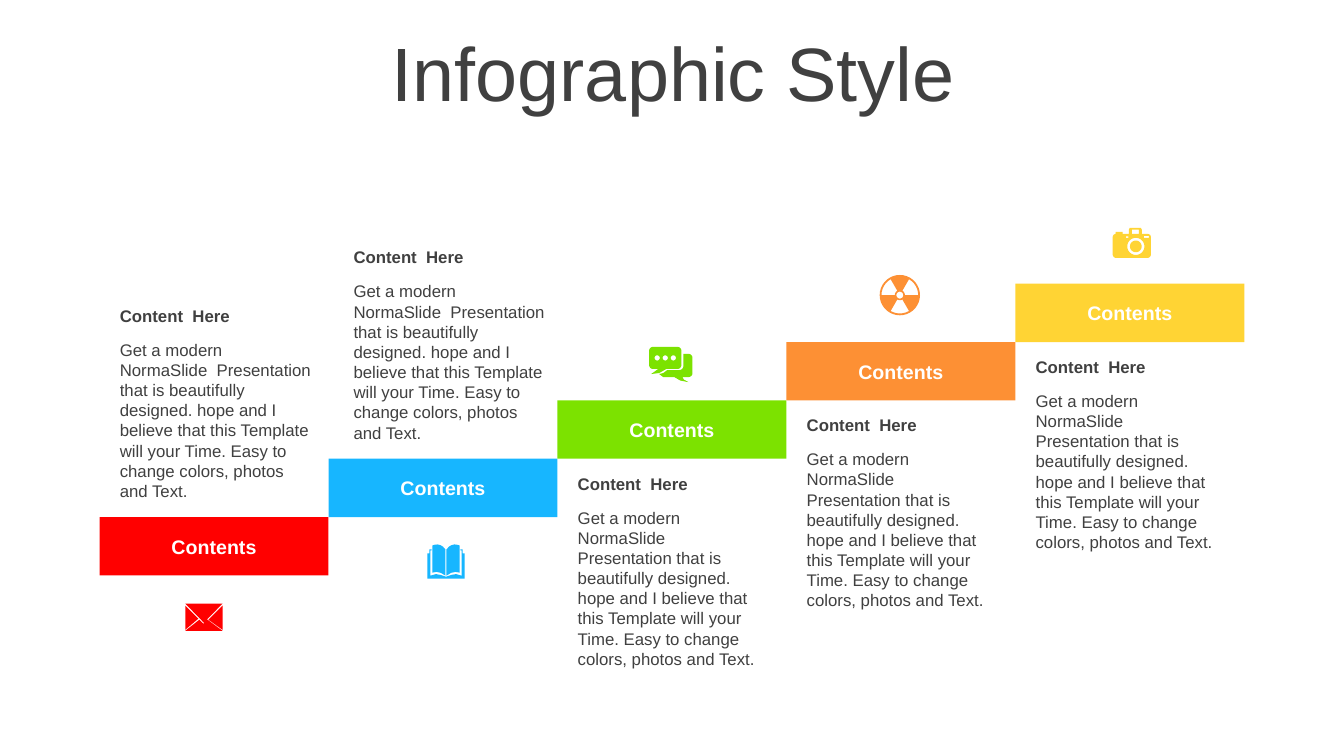
from math import cos, radians, sin

from pptx import Presentation
from pptx.dml.color import RGBColor
from pptx.enum.shapes import MSO_SHAPE as Shape
from pptx.enum.text import MSO_ANCHOR as Anchor, MSO_AUTO_SIZE as AutoSize, PP_ALIGN as Align
from pptx.util import Cm, Pt

TITLE = "Infographic Style"
BAR_LABEL = "Contents"
HEADING = "Content  Here"
BODY = ("Get a modern NormaSlide  Presentation that is beautifully designed. "
        "hope and I believe that this Template will your Time. "
        "Easy to change colors, photos and Text.")
DARK, WHITE = "404040", "FFFFFF"

# colour, text above the bar, text indent (cm), icon name, icon left and top (cm)
STEPS = [
    ("FF0000", True, 0.26, "envelope", 4.67, 15.21),
    ("17B6FF", True, 0.38, "book", 10.77, 13.72),
    ("7CE200", False, 0.26, "chat", 16.36, 8.74),
    ("FD9034", False, 0.26, "radiation", 22.17, 6.93),
    ("FFD434", False, 0.26, "camera", 28.04, 5.74),
]

BAR_LEFT, BAR_TOP, BAR_WIDTH, BAR_HEIGHT = 2.51, 13.03, 5.77, 1.47
HEADING_ABOVE, HEADING_BELOW, BODY_DROP = -5.46, 1.71, 0.86
ICON_UNIT = 0.0254  # cm per icon grid unit


def arc(x, y, radius, start=0, end=360):
    steps = max(6, abs(end - start) // 10)
    angles = [radians(start + (end - start) * i / steps) for i in range(steps + 1)]
    return [(x + radius * cos(a), y + radius * sin(a)) for a in angles]


def wedge(start):
    """Outline of one 60 degree blade of the radiation sign."""
    return arc(20, 20, 18.2, start, start + 60) + arc(20, 20, 5, start + 60, start)


def rectangle(left, top, right, bottom):
    return [(left, top), (right, top), (right, bottom), (left, bottom)]


def mirrored(points, width):
    return [(width - x, y) for x, y in points]


BOOK_PAGE = [(19, 5), (21.5, 2.2), (24, 0.7), (27, 0), (29.5, 0.3), (32, 1),
             (32, 28), (28, 27.2), (23.5, 28.2), (19, 31)]
BOOK_COVER = [(18.5, 32), (24, 30.2), (28.5, 29.4), (34, 31), (34, 6), (32.8, 6),
              (32.8, 5), (35, 5), (35, 9), (37, 9), (37, 34), (18.5, 34)]
FRONT_BUBBLE = (arc(28, 18, 4, 0, 90) + [(17, 22), (10, 26), (2, 27), (9, 22)]
                + arc(4, 18, 4, 90, 180) + arc(4, 4, 4, 180, 270)
                + arc(28, 4, 4, 270, 360))
BACK_BUBBLE = ([(34, 7)] + arc(39, 11, 4, 270, 360) + arc(39, 26, 4, 0, 90)
               + [(33, 30), (34.5, 32.5), (39, 35), (31, 33.5), (25, 30), (14, 30),
                  (10, 27), (14, 26), (18, 23)] + arc(30, 19, 4, 90, 0))
CAMERA_BODY = [(0, 9), (0.8, 7), (3, 6), (3, 4), (10, 4), (10, 6), (16, 6), (16, 2),
               (17, 0), (28, 0), (29, 2), (29, 6), (35, 6), (37.2, 7), (38, 9),
               (38, 27), (37, 29), (35, 30), (3, 30), (1, 29), (0, 27)]
ICONS = {
    "envelope": [
        [(22, 16), (37, 27), (0, 27), (14, 16), (18, 20)],
        [(37, 2), (37, 26), (23, 16)],
        [(0, 2), (13, 15), (0, 26)],
        [(0, 0), (37, 0), (18.5, 19)],
    ],
    "book": [BOOK_PAGE, BOOK_COVER, mirrored(BOOK_PAGE, 37), mirrored(BOOK_COVER, 37)],
    "chat": [FRONT_BUBBLE, BACK_BUBBLE] + [arc(x, 11, 2.6) for x in (8, 16, 24)],
    "radiation": [arc(20, 20, 20), arc(20, 20, 3.4)] + [wedge(a) for a in (60, 180, 300)],
    "camera": [CAMERA_BODY, arc(23, 18.5, 8.5), arc(23, 18.5, 5.8),
               rectangle(13, 8.5, 15.5, 10), rectangle(31, 8, 36, 10),
               rectangle(19, 2, 26, 6)],
}


def colour(value):
    return RGBColor.from_string(value)


def write(shape, text, anchor=Anchor.MIDDLE, align=Align.LEFT, ink=DARK, **formats):
    frame = shape.text_frame
    frame.word_wrap = True
    frame.vertical_anchor = anchor
    para = frame.paragraphs[0]
    para.alignment = align
    span = para.add_run()
    span.text = text
    span.font.color.rgb = colour(ink)
    for name, value in {"name": "Arial", "bold": False, **formats}.items():
        setattr(span.font, name, value)
    return frame


def paint(shape, fill):
    shape.shadow.inherit = False
    shape.fill.solid()
    shape.fill.fore_color.rgb = colour(fill)
    shape.line.fill.background()


def draw_icon(page, contours, left, top, fill):
    """Draw all contours as one outline; inner contours become holes."""
    builder = None
    for contour in contours:
        points = [(Cm(x * ICON_UNIT), Cm(y * ICON_UNIT)) for x, y in contour]
        if builder is None:
            builder = page.shapes.build_freeform(*points[0])
        else:
            builder.move_to(*points[0])
        builder.add_line_segments(points[1:], close=True)
    paint(builder.convert_to_shape(Cm(left), Cm(top)), fill)


def add_caption(page, left, top, width):
    group = page.shapes.add_group_shape()
    rows = [(HEADING, top, 0.76, Anchor.MIDDLE, True),
            (BODY, top + BODY_DROP, 4.37, Anchor.TOP, False)]
    for text, row_top, height, anchor, bold in rows:
        box = group.shapes.add_textbox(Cm(left), Cm(row_top), Cm(width), Cm(height))
        frame = write(box, text, anchor, size=Pt(12), bold=bold)
        frame.auto_size = AutoSize.SHAPE_TO_FIT_TEXT


def main():
    deck = Presentation()
    deck.slide_width, deck.slide_height = Cm(33.87), Cm(19.05)
    page = deck.slides.add_slide(deck.slide_layouts[5])

    title = page.shapes.title
    place = {"left": 0.89, "top": 0.94, "width": 32.16, "height": 2.01}
    for name, value in place.items():
        setattr(title, name, Cm(value))
    frame = write(title, TITLE, align=Align.CENTER, size=Pt(54))
    frame.auto_size = AutoSize.NONE
    frame.paragraphs[0].line_spacing = 0.9

    bars = page.shapes.add_group_shape()
    for index, (fill, above, indent, icon, icon_left, icon_top) in enumerate(STEPS):
        left = BAR_LEFT + index * BAR_WIDTH
        top = BAR_TOP - index * BAR_HEIGHT
        bar = bars.shapes.add_shape(Shape.RECTANGLE, Cm(left), Cm(top),
                                    Cm(BAR_WIDTH), Cm(BAR_HEIGHT))
        paint(bar, fill)
        write(bar, BAR_LABEL, align=Align.CENTER, ink=WHITE, size=Pt(14), bold=True)
        add_caption(page, left + indent, top + (HEADING_ABOVE if above else HEADING_BELOW),
                    5.36 if above else 5.28)
        draw_icon(page, ICONS[icon], icon_left, icon_top, fill)

    deck.save("out.pptx")


if __name__ == "__main__":
    main()
